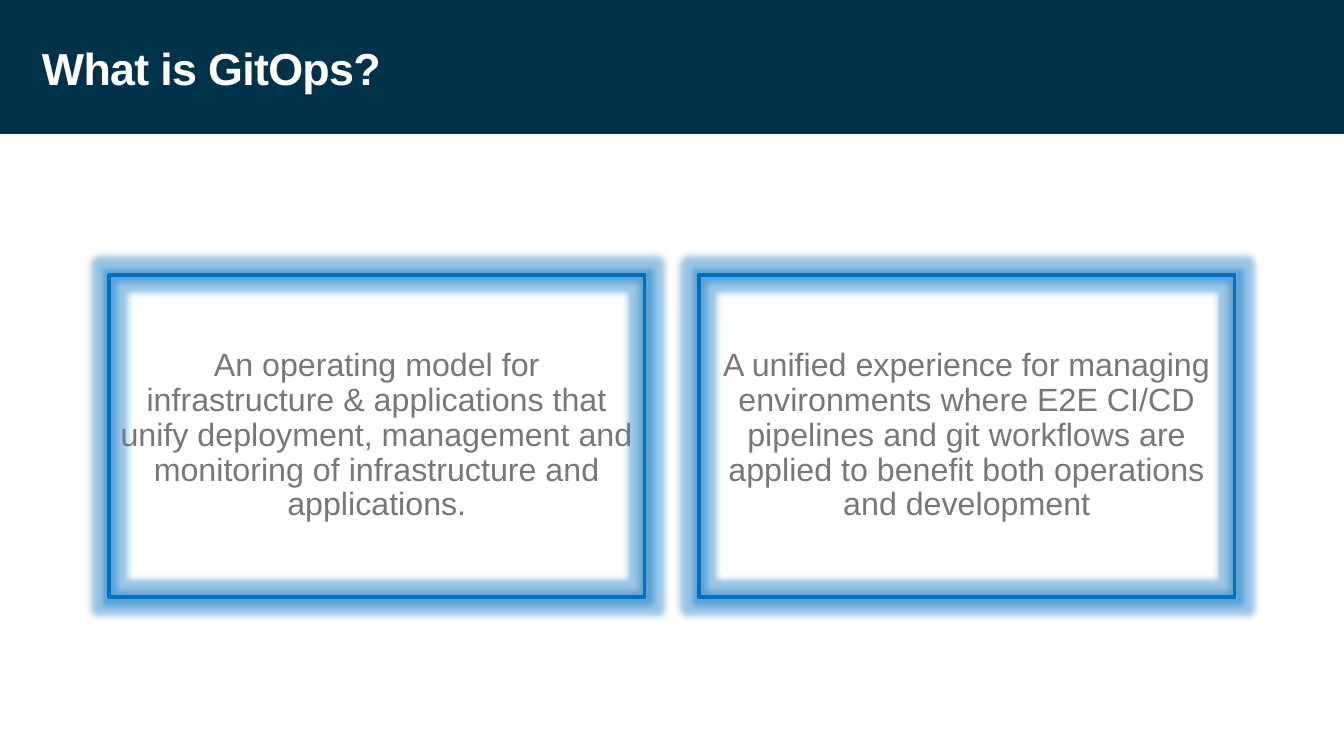
from dataclasses import dataclass

from lxml import etree
from pptx import Presentation
from pptx.dml.color import RGBColor
from pptx.enum.shapes import MSO_SHAPE
from pptx.enum.text import MSO_ANCHOR, PP_ALIGN
from pptx.oxml.ns import qn
from pptx.shapes.autoshape import Shape
from pptx.slide import Slide
from pptx.text.text import _Paragraph
from pptx.util import Emu, Pt

RECT = MSO_SHAPE.RECTANGLE
MIDDLE = MSO_ANCHOR.MIDDLE
CENTER = PP_ALIGN.CENTER
SCALE = 914400 / 100.8
NAVY, WHITE, BLUE, GRAY = "003349", "FFFFFF", "0070C0", "75787B"
FONT = "Arial"


@dataclass(frozen=True)
class Box:
    left: int
    top: int
    width: int
    height: int

    def emu(self) -> tuple[Emu, Emu, Emu, Emu]:
        """Return the place of the box in EMU."""
        return px(self.left), px(self.top), px(self.width), px(self.height)


FIRST = Box(109, 275, 536, 322)
PITCH = 590
CARDS = (
    "An operating model for infrastructure & applications that unify "
    "deployment, management and monitoring of infrastructure and applications.",
    "A unified experience for managing environments where E2E CI/CD "
    "pipelines and git workflows are applied to benefit both operations "
    "and development",
)


def px(count: int) -> Emu:
    """Turn px into EMU."""
    return Emu(round(count * SCALE))


def color(code: str) -> RGBColor:
    """Turn a hex string into a colour."""
    return RGBColor.from_string(code)


def add_rect(slide: Slide, box: Box) -> Shape:
    """Add a rectangle with no shadow."""
    shape = slide.shapes.add_shape(RECT, *box.emu())
    shape.shadow.inherit = False
    return shape


def add_glow(shape: Shape, code: str, size: int, alpha: int) -> None:
    """Give a shape a soft glow, sized in points with alpha in percent."""
    effects = shape.element.spPr.find(qn("a:effectLst"))
    glow = etree.SubElement(effects, qn("a:glow"), rad=str(Pt(size)))
    tint = etree.SubElement(glow, qn("a:srgbClr"), val=code)
    etree.SubElement(tint, qn("a:alpha"), val=str(alpha * 1000))


def add_text(slide: Slide, box: Box, text: str, size: int, code: str,
             inset: int) -> _Paragraph:
    """Add a wrapped text box, centred in height."""
    frame = slide.shapes.add_textbox(*box.emu()).text_frame
    frame.word_wrap = True
    frame.vertical_anchor = MIDDLE
    frame.margin_left = frame.margin_right = px(inset)
    frame.margin_top = frame.margin_bottom = px(inset)
    para = frame.paragraphs[0]
    para.text = text
    para.font.name = FONT
    para.font.size = Pt(size)
    para.font.color.rgb = color(code)
    return para


def add_head(slide: Slide, text: str) -> None:
    """Add the dark band and the title."""
    band = add_rect(slide, Box(0, 0, 1344, 134))
    band.fill.solid()
    band.fill.fore_color.rgb = color(NAVY)
    band.line.fill.background()
    para = add_text(slide, Box(42, 25, 1066, 86), text, 32, WHITE, 0)
    para.font.bold = True
    para.runs[0].font._element.set("spc", "-50")


def add_card(slide: Slide, box: Box, text: str) -> None:
    """Add a glowing frame with its text."""
    frame = add_rect(slide, box)
    frame.fill.background()
    frame.line.color.rgb = color(BLUE)
    frame.line.width = Pt(2.25)
    add_glow(frame, BLUE, 8, 40)
    para = add_text(slide, box, text, 23, GRAY, 10)
    para.alignment = CENTER
    para.line_spacing = 0.9


def main() -> None:
    """Build and save the slide."""
    deck = Presentation()
    deck.slide_width, deck.slide_height = px(1344), px(756)
    slide = deck.slides.add_slide(deck.slide_layouts[6])
    add_head(slide, "What is GitOps?")
    for index, text in enumerate(CARDS):
        left = FIRST.left + index * PITCH
        add_card(slide, Box(left, FIRST.top, FIRST.width, FIRST.height), text)
    deck.save("out.pptx")


if __name__ == "__main__":
    main()
